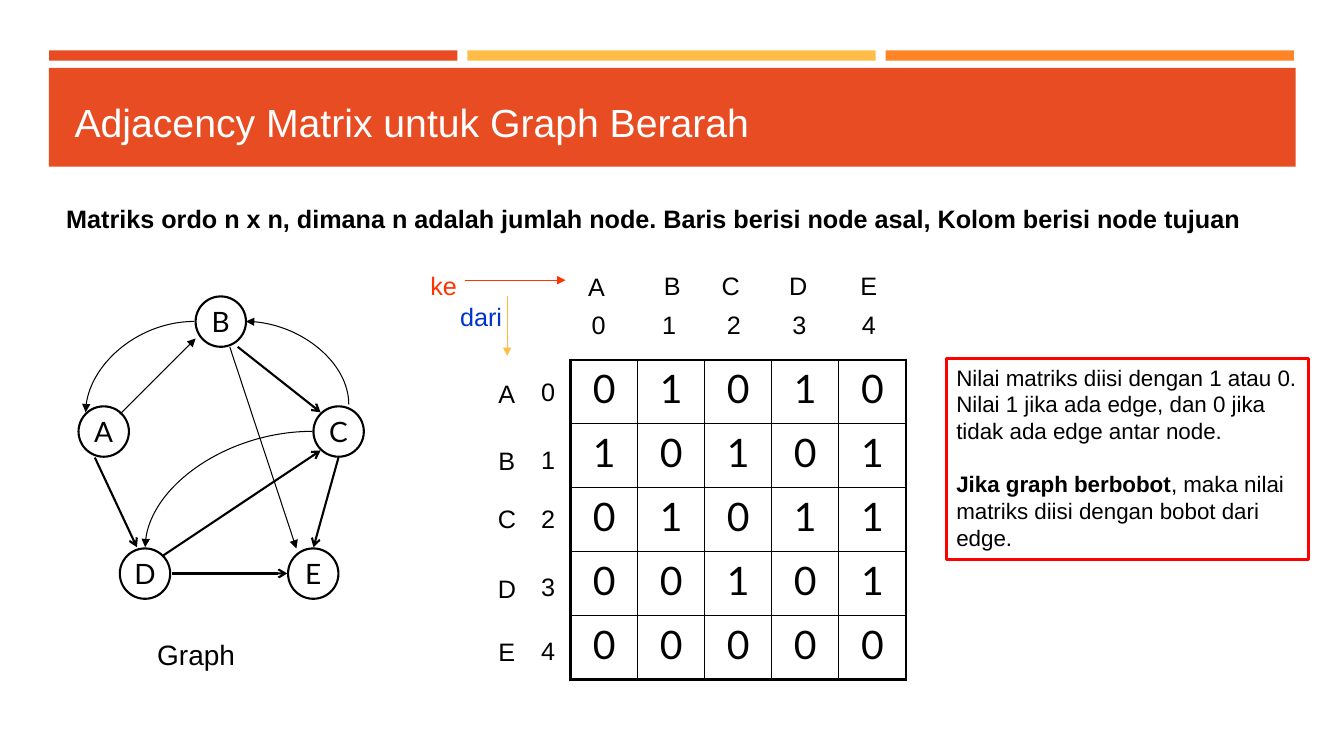
import pptx
import pptx.dml.color
import pptx.enum.shapes
import pptx.enum.text
import pptx.oxml.ns
import pptx.util
from lxml import etree

Cm = pptx.util.Cm
Pt = pptx.util.Pt
RGBColor = pptx.dml.color.RGBColor
qn = pptx.oxml.ns.qn
SHAPE = pptx.enum.shapes.MSO_SHAPE
CONNECTOR = pptx.enum.shapes.MSO_CONNECTOR
ALIGN = pptx.enum.text.PP_ALIGN
ANCHOR = pptx.enum.text.MSO_ANCHOR

BLACK = RGBColor(0x00, 0x00, 0x00)
WHITE = RGBColor(0xFF, 0xFF, 0xFF)
ORANGE_RED = RGBColor(0xE8, 0x4C, 0x22)
YELLOW = RGBColor(0xFF, 0xBD, 0x47)
ORANGE = RGBColor(0xFF, 0x84, 0x27)
RED = RGBColor(0xFF, 0x00, 0x00)
ARROW_RED = RGBColor(0xFF, 0x33, 0x00)
BLUE = RGBColor(0x00, 0x33, 0xCC)

TITLE = "Adjacency Matrix untuk Graph Berarah"
RULE = "Matriks ordo n x n, dimana n adalah jumlah node. Baris berisi node asal, Kolom berisi node tujuan"
NOTE = [
    [("Nilai matriks diisi dengan 1 atau 0. Nilai 1 jika ada edge, dan 0 jika tidak ada edge antar node.", False)],
    [("Jika graph berbobot", True), (", maka nilai matriks diisi dengan bobot dari edge.", False)],
]
MATRIX = ["01010", "10101", "01011", "00101", "00000"]
NAMES = "ABCDE"
INDICES = "01234"

COLUMN_NAME_PLACES = [(14.40, 6.71), (16.31, 6.68), (17.78, 6.68), (19.48, 6.68), (21.26, 6.68)]
COLUMN_INDEX_PLACES = [(left, 7.67) for left in (14.45, 16.23, 17.86, 19.51, 21.26)]
ROW_NAME_PLACES = [(12.14, top) for top in (9.40, 11.10, 12.55, 14.33, 15.90)]
ROW_INDEX_PLACES = [(13.18, top) for top in (9.37, 11.07, 12.57, 14.27, 15.88)]

NODES = {"B": (4.93, 7.47), "A": (1.98, 10.24), "C": (7.90, 10.24), "D": (3.02, 13.82), "E": (7.26, 13.82)}
NODE_SIZE = 1.27
THICK_EDGES = [
    (2.39, 11.53, 3.45, 13.79),
    (4.11, 14.00, 8.08, 11.35),
    (4.34, 14.45, 7.24, 14.45),
    (8.53, 11.53, 7.90, 13.79),
    (5.99, 8.74, 8.08, 10.39),
]
THIN_EDGES = [(3.02, 10.44, 4.93, 8.53), (5.79, 8.74, 7.47, 13.82)]
CURVED_EDGES = [
    ((6.20, 8.10, 8.79, 10.19), "headEnd"),
    ((4.90, 8.10, 2.16, 10.39), "tailEnd"),
    ((7.87, 10.87, 3.66, 13.79), "tailEnd"),
]
BAR_COLORS = [ORANGE_RED, YELLOW, ORANGE]
BAR_STEP = 10.54
TABLE_LEFT, TABLE_TOP, COLUMN_WIDTH, ROW_HEIGHT = 14.38, 9.07, 1.69, 1.61


def set_font(font, size, color=BLACK, name="Arial", bold=False):
    for attribute, value in {"size": Pt(size), "name": name, "bold": bold}.items():
        setattr(font, attribute, value)
    font.color.rgb = color


def add_text(slide, text, left, top, width, height, size=18, color=BLACK, bold=False,
             align=ALIGN.CENTER, anchor=ANCHOR.TOP, wrap=True):
    frame = slide.shapes.add_textbox(Cm(left), Cm(top), Cm(width), Cm(height)).text_frame
    frame.word_wrap = wrap
    frame.vertical_anchor = anchor
    paragraph = frame.paragraphs[0]
    paragraph.text = text
    paragraph.alignment = align
    set_font(paragraph.font, size, color, bold=bold)


def add_shape(slide, kind, left, top, width, height, fill=None, line=None, line_width=1.5):
    shape = slide.shapes.add_shape(kind, Cm(left), Cm(top), Cm(width), Cm(height))
    shape.shadow.inherit = False
    if fill is None:
        shape.fill.background()
    else:
        shape.fill.solid()
        shape.fill.fore_color.rgb = fill
    if line is None:
        shape.line.fill.background()
    else:
        shape.line.color.rgb = line
        shape.line.width = Pt(line_width)
    return shape


def add_arrow(slide, points, width=0.75, color=BLACK, head="triangle", end="tailEnd", curved=False):
    kind = CONNECTOR.CURVE if curved else CONNECTOR.STRAIGHT
    connector = slide.shapes.add_connector(kind, *[Cm(point) for point in points])
    connector.line.color.rgb = color
    connector.line.width = Pt(width)
    properties = connector._element.spPr
    if curved:
        properties.find(qn("a:prstGeom")).set("prst", "curvedConnector2")
    etree.SubElement(properties.find(qn("a:ln")), qn("a:" + end), type=head)
    etree.SubElement(properties, qn("a:effectLst"))


def set_borders(cell, widths):
    properties = cell._tc.get_or_add_tcPr()
    for side, width in widths.items():
        line = etree.SubElement(properties, qn("a:ln" + side), w=str(Pt(width)))
        fill = etree.SubElement(line, qn("a:solidFill"))
        etree.SubElement(fill, qn("a:srgbClr"), val=str(BLACK))


def add_matrix(slide):
    count = len(MATRIX)
    frame = slide.shapes.add_table(count, count, Cm(TABLE_LEFT), Cm(TABLE_TOP),
                                   Cm(COLUMN_WIDTH * count), Cm(ROW_HEIGHT * count))
    table = frame.table
    table.first_row = table.horz_banding = False
    for index in range(count):
        table.columns[index].width = Cm(COLUMN_WIDTH)
        table.rows[index].height = Cm(ROW_HEIGHT)
    for row, values in enumerate(MATRIX):
        for column, value in enumerate(values):
            cell = table.cell(row, column)
            outer = {"L": column == 0, "R": column == count - 1, "T": row == 0, "B": row == count - 1}
            set_borders(cell, {side: 2.25 if edge else 1 for side, edge in outer.items()})
            cell.fill.background()
            paragraph = cell.text_frame.paragraphs[0]
            paragraph.text = value
            paragraph.alignment = ALIGN.CENTER
            set_font(paragraph.font, 28, name="Lato")


def add_graph(slide):
    for name, (left, top) in NODES.items():
        node = add_shape(slide, SHAPE.OVAL, left, top, NODE_SIZE, NODE_SIZE, line=BLACK)
        frame = node.text_frame
        frame.word_wrap = False
        frame.vertical_anchor = ANCHOR.MIDDLE
        paragraph = frame.paragraphs[0]
        paragraph.text = name
        paragraph.alignment = ALIGN.CENTER
        set_font(paragraph.font, 20, name="Lato")
    for points in THICK_EDGES:
        add_arrow(slide, points, width=1.5, head="arrow")
    for points in THIN_EDGES:
        add_arrow(slide, points)
    for points, end in CURVED_EDGES:
        add_arrow(slide, points, end=end, curved=True)
    add_text(slide, "Graph", 2.62, 15.95, 4.65, 1.09, size=20)


def add_note(slide):
    box = add_shape(slide, SHAPE.RECTANGLE, 23.85, 9.04, 9.12, 5.05, line=RED, line_width=2.25)
    frame = box.text_frame
    frame.word_wrap = True
    frame.vertical_anchor = ANCHOR.TOP
    for index, runs in enumerate(NOTE):
        paragraph = frame.add_paragraph() if index else frame.paragraphs[0]
        paragraph.alignment = ALIGN.LEFT
        if index:
            paragraph.space_before = Pt(18.4)
        for text, bold in runs:
            run = paragraph.add_run()
            run.text = text
            set_font(run.font, 16, bold=bold)


def main():
    presentation = pptx.Presentation()
    presentation.slide_width = Cm(33.87)
    presentation.slide_height = Cm(19.05)
    slide = presentation.slides.add_slide(presentation.slide_layouts[6])
    for index, color in enumerate(BAR_COLORS):
        add_shape(slide, SHAPE.RECTANGLE, 1.24 + index * BAR_STEP, 1.27, 10.29, 0.26, fill=color)
    add_shape(slide, SHAPE.RECTANGLE, 1.23, 1.71, 31.42, 2.49, fill=ORANGE_RED)
    add_text(slide, TITLE, 1.63, 1.96, 30.63, 2.24, size=28, color=WHITE,
             align=ALIGN.LEFT, anchor=ANCHOR.MIDDLE)
    add_text(slide, RULE, 1.42, 5, 30.4, 1.02, bold=True, align=ALIGN.LEFT, wrap=False)
    add_matrix(slide)
    for labels, places in [(NAMES, COLUMN_NAME_PLACES), (INDICES, COLUMN_INDEX_PLACES),
                           (NAMES, ROW_NAME_PLACES), (INDICES, ROW_INDEX_PLACES)]:
        for label, (left, top) in zip(labels, places):
            add_text(slide, label, left, top, 1.27, 1.02)
    add_graph(slide)
    add_arrow(slide, (11.71, 7.06, 14.25, 7.06), color=ARROW_RED)
    add_text(slide, "ke", 10.01, 6.68, 2.34, 1.02, color=ARROW_RED)
    add_arrow(slide, (12.78, 7.47, 12.78, 8.97), color=YELLOW)
    add_text(slide, "dari", 11.07, 7.47, 2.11, 1.02, color=BLUE)
    add_note(slide)
    presentation.save("out.pptx")


if __name__ == "__main__":
    main()
